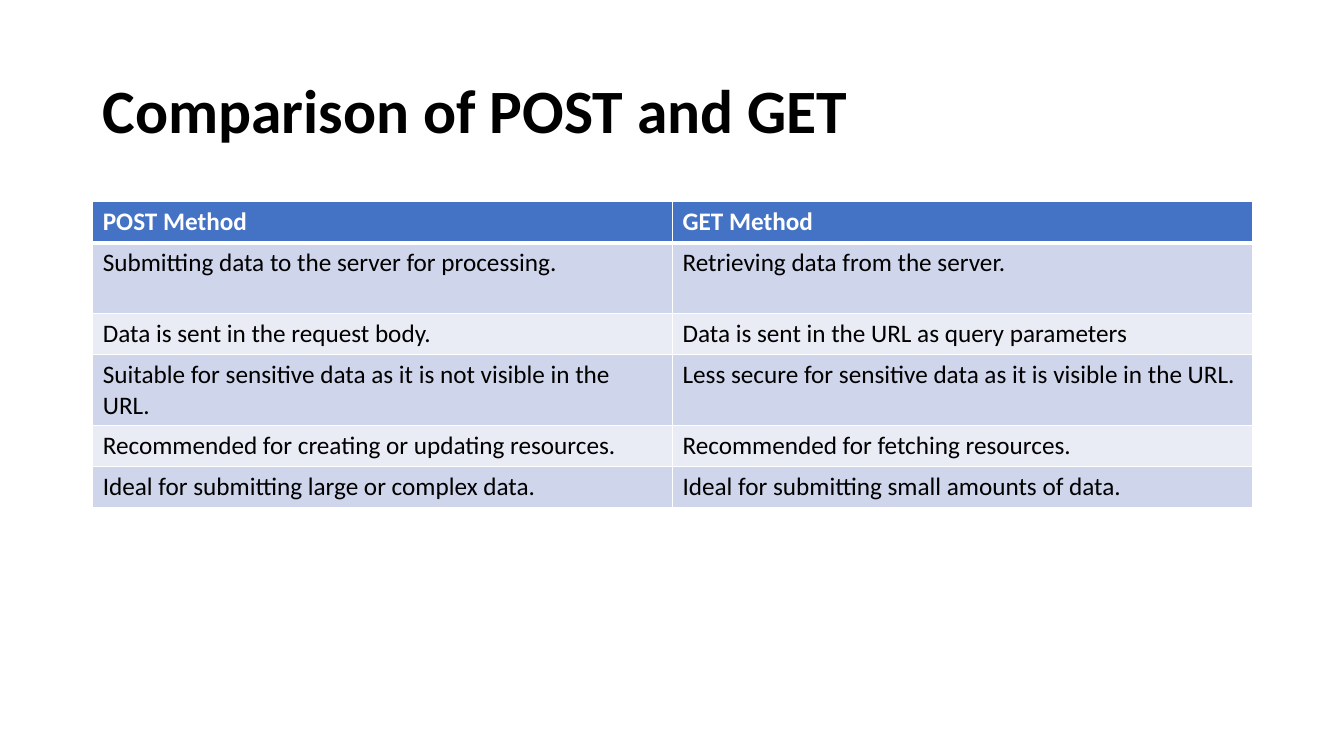
from pptx import Presentation
from pptx.dml.color import RGBColor
from pptx.enum.text import MSO_ANCHOR
from pptx.oxml import parse_xml
from pptx.oxml.ns import nsdecls
from pptx.util import Inches, Pt

# Content
TITLE = "Comparison of POST and GET"
ROWS = [
    ("POST Method", "GET Method"),
    ("Submitting data to the server for processing.", "Retrieving data from the server."),
    ("Data is sent in the request body.", "Data is sent in the URL as query parameters"),
    ("Suitable for sensitive data as it is not visible in the URL.",
     "Less secure for sensitive data as it is visible in the URL."),
    ("Recommended for creating or updating resources.", "Recommended for fetching resources."),
    ("Ideal for submitting large or complex data.", "Ideal for submitting small amounts of data."),
]
TALL_ROWS = (1, 3)

# Theme and layout
THEME = {
    "font": "Calibri", "title_size": 44, "body_size": 18,
    "text": "000000", "header_text": "FFFFFF", "border": "FFFFFF",
    "header": "4472C4", "bands": ("E9EBF5", "CFD5EA"),
    "thin": 1, "thick": 3,
}
LEFT, WIDTH = 0.92, 11.5
TITLE_TOP, TITLE_HEIGHT = 0.4, 1.45
TABLE_TOP, ROW_HEIGHT, TALL_HEIGHT = 2, 0.41, 0.7


def write(tf, text, size, color, bold):
    r = tf.paragraphs[0].add_run()
    r.text = text
    for name, value in {"name": THEME["font"], "size": Pt(size), "bold": bold}.items():
        setattr(r.font, name, value)
    r.font.color.rgb = RGBColor.from_string(color)


def add_borders(cell, widths):
    tcPr = cell._tc.get_or_add_tcPr()
    for side, width in widths.items():
        tcPr.append(parse_xml(
            f'<a:ln{side} {nsdecls("a")} w="{Pt(width)}"><a:solidFill>'
            f'<a:srgbClr val="{THEME["border"]}"/></a:solidFill></a:ln{side}>'))


def add_title(s):
    box = s.shapes.add_textbox(Inches(LEFT), Inches(TITLE_TOP), Inches(WIDTH), Inches(TITLE_HEIGHT))
    tf = box.text_frame
    for name, value in {"word_wrap": True, "vertical_anchor": MSO_ANCHOR.MIDDLE}.items():
        setattr(tf, name, value)
    tf.paragraphs[0].line_spacing = 0.9
    write(tf, TITLE, THEME["title_size"], THEME["text"], True)


def add_comparison(s):
    heights = [TALL_HEIGHT if i in TALL_ROWS else ROW_HEIGHT for i in range(len(ROWS))]
    n_cols = len(ROWS[0])
    table = s.shapes.add_table(len(ROWS), n_cols, Inches(LEFT), Inches(TABLE_TOP),
                               Inches(WIDTH), Inches(sum(heights))).table
    for col in table.columns:
        col.width = Inches(WIDTH / n_cols)
    thin, thick = THEME["thin"], THEME["thick"]
    for i, row in enumerate(ROWS):
        table.rows[i].height = Inches(heights[i])
        header = i == 0
        fill = THEME["header"] if header else THEME["bands"][i % 2]
        color = THEME["header_text"] if header else THEME["text"]
        # The rule under the header is thicker than the others
        widths = {"L": thin, "R": thin, "T": thick if i == 1 else thin, "B": thick if header else thin}
        for j, text in enumerate(row):
            cell = table.cell(i, j)
            write(cell.text_frame, text, THEME["body_size"], color, header)
            add_borders(cell, widths)
            cell.fill.solid()
            cell.fill.fore_color.rgb = RGBColor.from_string(fill)


def main():
    prs = Presentation()
    prs.slide_width, prs.slide_height = Inches(13.33), Inches(7.5)
    s = prs.slides.add_slide(prs.slide_layouts[6])
    add_title(s)
    add_comparison(s)
    prs.save("out.pptx")


if __name__ == "__main__":
    main()
